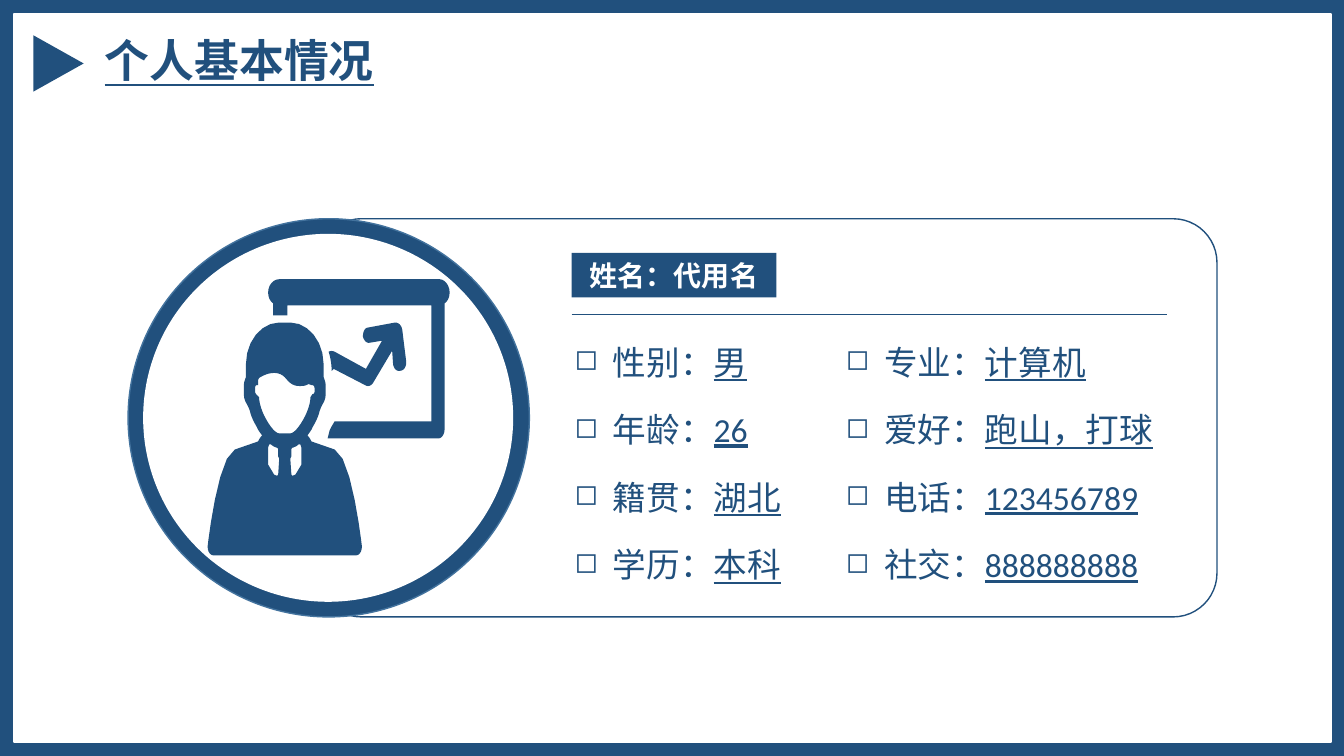
from dataclasses import dataclass

from lxml import etree
from pptx import Presentation
from pptx.dml.color import RGBColor
from pptx.enum.shapes import MSO_CONNECTOR, MSO_SHAPE
from pptx.enum.text import MSO_ANCHOR, MSO_AUTO_SIZE, PP_ALIGN
from pptx.oxml.ns import qn
from pptx.util import Inches, Pt

RECT, ROUND_RECT = MSO_SHAPE.RECTANGLE, MSO_SHAPE.ROUNDED_RECTANGLE
OVAL, TRIANGLE = MSO_SHAPE.OVAL, MSO_SHAPE.ISOSCELES_TRIANGLE
STRAIGHT = MSO_CONNECTOR.STRAIGHT
LEFT, CENTER, JUSTIFY = PP_ALIGN.LEFT, PP_ALIGN.CENTER, PP_ALIGN.JUSTIFY
TOP, MIDDLE = MSO_ANCHOR.TOP, MSO_ANCHOR.MIDDLE
FIT = MSO_AUTO_SIZE.SHAPE_TO_FIT_TEXT

UNIT = Inches(0.01)
COLS, ROWS = 1333, 750


@dataclass(frozen=True)
class Theme:
    font: str = "Calibri"
    navy: str = "21507D"
    edge: str = "43739E"
    white: str = "FFFFFF"
    title: int = 32
    name: int = 20
    fact: int = 24


@dataclass(frozen=True)
class Box:
    x: int
    y: int
    w: int
    h: int

    def sub(self, x, y, w, h):
        return Box(self.x + x, self.y + y, w, h)

    def emu(self):
        return [v * UNIT for v in (self.x, self.y, self.w, self.h)]


THEME = Theme()
FACTS = [
    [("性别：", "男"), ("年龄：", "26"), ("籍贯：", "湖北"), ("学历：", "本科")],
    [("专业：", "计算机"), ("爱好：", "跑山，打球"), ("电话：", "123456789"), ("社交：", "888888888")],
]

SCREEN = [
    (71, 0), (65, 0, 60, 6, 60, 13), (60, 18, 62, 22, 65, 24), (65, 36), (79, 36), (79, 26),
    (222, 26), (222, 141), (126, 141), (123, 146), (121, 150), (119, 158), (229, 158),
    (232, 158, 235, 154, 235, 149), (235, 24), (238, 22, 240, 18, 240, 13), (240, 6, 235, 0, 230, 0),
]
ARROW = [
    (186, 43), (159, 48), (156, 48, 154, 52, 154, 57), (155, 61, 158, 64, 161, 63), (173, 61),
    (157, 89), (126, 72), (124, 71, 122, 71, 120, 72), (122, 78, 123, 85, 123, 91), (125, 89),
    (156, 105), (159, 107, 162, 106, 164, 103), (183, 71), (184, 85), (185, 89, 187, 91, 190, 91),
    (195, 91, 197, 87, 197, 82), (193, 50), (192, 45, 189, 43, 186, 43),
]
FACE = [
    (66, 93), (71, 93, 75, 95, 78, 99), (82, 104, 86, 106, 91, 106), (94, 106, 97, 106, 100, 104),
    (103, 105), (105, 105, 106, 106, 106, 108), (106, 112), (106, 113, 105, 114, 104, 114),
    (102, 117), (102, 123, 99, 132, 95, 139), (90, 148, 85, 153, 82, 153), (71, 153),
    (68, 153, 63, 148, 58, 139), (54, 132, 51, 123, 51, 117), (48, 114), (47, 112), (47, 108),
    (47, 106, 48, 105, 49, 105), (50, 105), (50, 100), (51, 98), (54, 96, 60, 93, 66, 93),
]
HALF_BODY = [
    (71, 43), (53, 43, 38, 62, 38, 84), (38, 97), (37, 100, 36, 102, 36, 105), (36, 114),
    (36, 118, 37, 121, 39, 124), (40, 126, 41, 128, 42, 131), (43, 136, 46, 142, 49, 147),
    (50, 150, 52, 152, 54, 155), (52, 157, 51, 159, 50, 161), (27, 169),
    (10, 175, 0, 265, 0, 265), (0, 271, 3, 274, 6, 274),
]
LAPEL = [
    (61, 164), (63, 164), (65, 166, 66, 166, 68, 167), (69, 167, 70, 168, 70, 169), (70, 176),
    (71, 178), (70, 193), (70, 194, 69, 195, 69, 195), (66, 194), (60, 184), (60, 167), (61, 164),
]
BODY_WIDTH = 153


def rgb(value):
    return RGBColor.from_string(value)


def paint(sp, fill=None, line=None, width=1):
    sp.shadow.inherit = False
    if fill:
        sp.fill.solid()
        sp.fill.fore_color.rgb = rgb(fill)
    else:
        sp.fill.background()
    if line:
        sp.line.color.rgb = rgb(line)
        sp.line.width = Pt(width)
    else:
        sp.line.fill.background()
    return sp


def add_shape(s, kind, box, **style):
    return paint(s.shapes.add_shape(kind, *box.emu()), **style)


def add_bullet(p, char):
    pPr = p._p.get_or_add_pPr()
    pPr.set("marL", str(38 * UNIT))
    pPr.set("indent", str(-38 * UNIT))
    color = etree.SubElement(pPr, qn("a:buClr"))
    etree.SubElement(color, qn("a:srgbClr"), val=THEME.navy)
    etree.SubElement(pPr, qn("a:buSzPct"), val="85000")
    etree.SubElement(pPr, qn("a:buChar"), char=char)


def write(sp, text, size, color=THEME.navy, bold=False, underlined="", align=LEFT, anchor=TOP, bullet=None):
    tf = sp.text_frame
    tf.word_wrap = True
    tf.auto_size = FIT
    tf.vertical_anchor = anchor
    p = tf.paragraphs[0]
    p.alignment = align
    if bullet:
        add_bullet(p, bullet)
    for part, underline in ((text, False), (underlined, True)):
        if part:
            r = p.add_run()
            r.text = part
            r.font.name = THEME.font
            r.font.size = Pt(size)
            r.font.bold = bold
            r.font.underline = underline
            r.font.color.rgb = rgb(color)


def flatten(steps, pieces=6):
    points = [steps[0]]
    for step in steps[1:]:
        if len(step) == 2:
            points.append(step)
            continue
        ends = [points[-1], step[:2], step[2:4], step[4:]]
        for i in range(1, pieces + 1):
            t = i / pieces
            weights = ((1 - t) ** 3, 3 * t * (1 - t) ** 2, 3 * t * t * (1 - t), t ** 3)
            points.append(tuple(sum(k * e[axis] for k, e in zip(weights, ends)) for axis in (0, 1)))
    return points


def mirror(points):
    return [(BODY_WIDTH - x, y) for x, y in reversed(points)]


def draw_frame(s, box):
    add_shape(s, RECT, box, fill=THEME.navy)
    add_shape(s, RECT, box.sub(14, 14, box.w - 27, box.h - 28), fill=THEME.white, line=THEME.white)


def draw_title(s, box):
    marker = add_shape(s, TRIANGLE, box.sub(0, 10, 56, 50), fill=THEME.navy)
    marker.rotation = 90
    sp = s.shapes.add_textbox(*box.sub(64, 0, box.w - 64, box.h).emu())
    write(sp, "", THEME.title, bold=True, underlined="个人基本情况", align=JUSTIFY)


def draw_presenter(s, box):
    half, lapel = flatten(HALF_BODY), flatten(LAPEL)
    contours = [flatten(SCREEN), half + mirror(half), flatten(ARROW), flatten(FACE), lapel, mirror(lapel)]
    builder = None
    for contour in contours:
        start, *rest = [((box.x + x) * UNIT, (box.y + y) * UNIT) for x, y in contour]
        if builder is None:
            builder = s.shapes.build_freeform(*start, scale=1.0)
        else:
            builder.move_to(*start)
        builder.add_line_segments(rest, close=True)
    paint(builder.convert_to_shape(), fill=THEME.navy)


def draw_portrait(s, box):
    add_shape(s, OVAL, box, fill=THEME.navy, line=THEME.edge)
    add_shape(s, OVAL, box.sub(15, 15, box.w - 31, box.h - 30), fill=THEME.white)
    draw_presenter(s, box.sub(79, 60, 241, 274))


def draw_facts(s, box):
    bar = add_shape(s, RECT, box.sub(7, 0, 203, 44), fill=THEME.navy)
    write(bar, "姓名：代用名", THEME.name, color=THEME.white, bold=True, align=CENTER, anchor=MIDDLE)
    left, y = (box.x + 7) * UNIT, (box.y + 61) * UNIT
    rule = s.shapes.add_connector(STRAIGHT, left, y, left + 590 * UNIT, y)
    rule.line.color.rgb = rgb(THEME.navy)
    rule.line.width = Pt(0.5)
    etree.SubElement(rule._element.spPr, qn("a:effectLst"))
    for (x, width), facts in zip(((0, 241), (269, 355)), FACTS):
        for row, (label, value) in enumerate(facts):
            sp = s.shapes.add_textbox(*box.sub(x, 83 + 67 * row, width, 50).emu())
            write(sp, label, THEME.fact, underlined=value, bullet="◻")


def draw_card(s, box):
    panel = add_shape(s, ROUND_RECT, box.sub(188, 0, box.w - 188, box.h), line=THEME.navy)
    panel.adjustments[0] = 0.11
    draw_portrait(s, box.sub(0, 0, 398, box.h))
    draw_facts(s, box.sub(433, 34, 624, 334))


def main():
    prs = Presentation()
    prs.slide_width, prs.slide_height = COLS * UNIT, ROWS * UNIT
    s = prs.slides.add_slide(prs.slide_layouts[6])
    draw_frame(s, Box(0, 0, COLS, ROWS))
    draw_title(s, Box(30, 28, 439, 64))
    draw_card(s, Box(127, 217, 1080, 395))
    prs.save("out.pptx")


if __name__ == "__main__":
    main()
